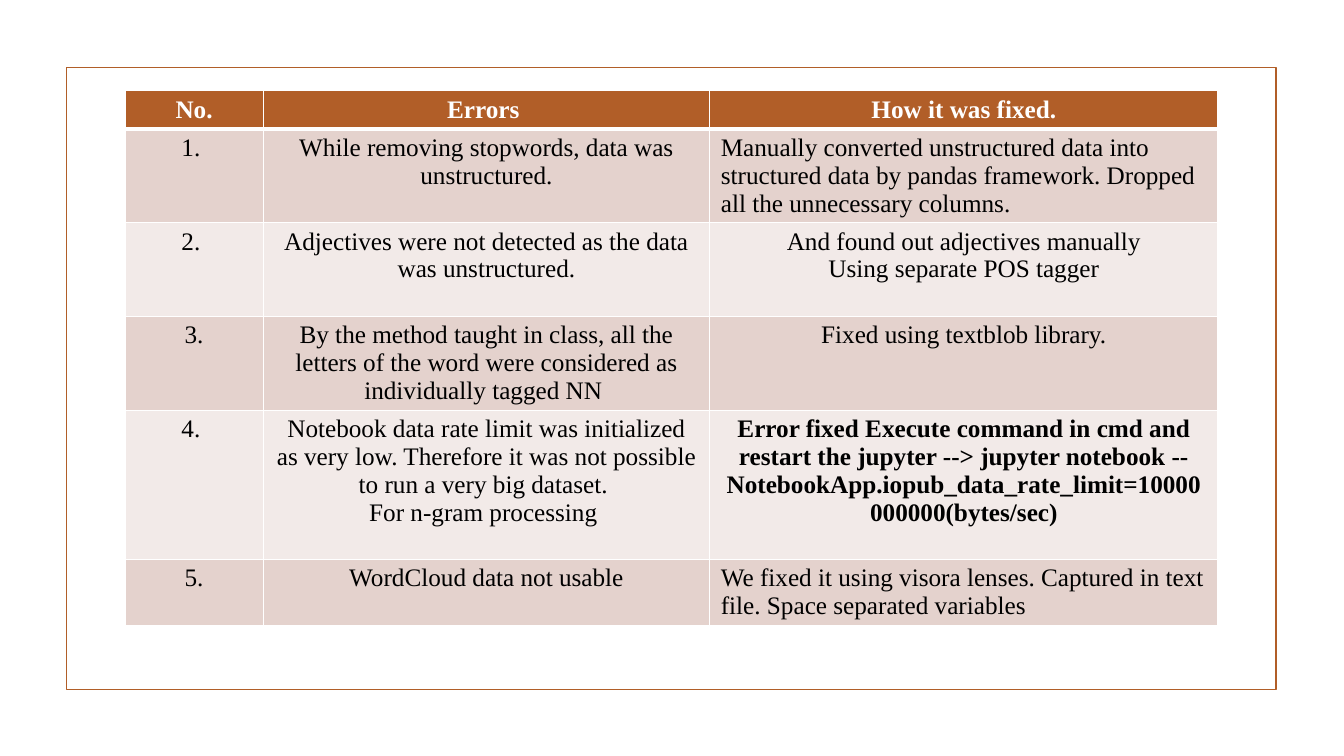
"""Build a slide with a table of data-processing errors and their fixes."""
from lxml.etree import SubElement
from pptx import Presentation
from pptx.dml.color import RGBColor
from pptx.enum.shapes import MSO_SHAPE as Shape
from pptx.enum.text import PP_ALIGN as Align
from pptx.oxml.ns import qn
from pptx.util import Inches, Pt


def color(hex_value):
    return RGBColor.from_string(hex_value)


def add_borders(cell, bottom_width):
    properties = cell._tc.get_or_add_tcPr()
    widths = {"a:lnL": 1, "a:lnR": 1, "a:lnT": 1, "a:lnB": bottom_width}
    for position, (side, width) in enumerate(widths.items()):
        edge = SubElement(properties, qn(side), w=str(Pt(width)))
        fill = SubElement(edge, qn("a:solidFill"))
        SubElement(fill, qn("a:srgbClr"), val="FFFFFF")
        properties.insert(position, edge)


RUST = "B15E28"
BANDS = ["F2EAE8", "E4D2CD"]
COLUMN_WIDTHS = [1.37, 4.43, 5.04]
ROW_HEIGHTS = [0.37, 0.93, 0.93, 0.93, 1.48, 0.66]
ROWS = [
    ("No.", "Errors ", "How it was fixed."),
    ("1. ", "While removing stopwords, data was unstructured.",
     "Manually converted unstructured data into structured data by pandas "
     "framework. Dropped all the unnecessary columns."),
    ("2. ", "Adjectives were not detected as the data was unstructured.",
     "And found out adjectives manually\nUsing separate POS tagger"),
    ("3.", "By the method taught in class, all the letters of the word were "
     "considered as individually tagged NN ",
     "Fixed using textblob library."),
    ("4. ", "Notebook data rate limit was initialized as very low. Therefore it "
     "was not possible to run a very big dataset. \nFor n-gram processing ",
     "Error fixed Execute command in cmd and restart the jupyter --> jupyter "
     "notebook --NotebookApp.iopub_data_rate_limit=10000000000(bytes/sec)"),
    ("5.", "WordCloud data not usable",
     "We fixed it using visora lenses. Captured in text file. "
     "Space separated variables"),
]
LEFT_ALIGNED = {(1, 2), (5, 2)}
BOLD_FIX = (4, 2)

deck = Presentation()
deck.slide_width, deck.slide_height = Inches(13.33), Inches(7.5)
slide = deck.slides.add_slide(deck.slide_layouts[6])

frame = slide.shapes.add_shape(
    Shape.RECTANGLE, Inches(0.66), Inches(0.67), Inches(12), Inches(6.17))
frame.shadow.inherit = False
frame.fill.background()
frame.line.color.rgb = color(RUST)
frame.line.width = Pt(1.25)

errors = slide.shapes.add_table(
    len(ROWS), len(COLUMN_WIDTHS), Inches(1.24), Inches(0.9),
    Inches(sum(COLUMN_WIDTHS)), Inches(sum(ROW_HEIGHTS))).table
for column, width in zip(errors.columns, COLUMN_WIDTHS):
    column.width = Inches(width)

for row, (entries, height) in enumerate(zip(ROWS, ROW_HEIGHTS)):
    errors.rows[row].height = Inches(height)
    header = row == 0
    for col, entry in enumerate(entries):
        cell = errors.cell(row, col)
        cell.margin_left = cell.margin_right = Inches(0.11)
        cell.margin_top = cell.margin_bottom = Inches(0.05)
        cell.fill.solid()
        cell.fill.fore_color.rgb = color(RUST if header else BANDS[row % 2])
        add_borders(cell, 3 if header else 1)
        for index, line in enumerate(entry.split("\n")):
            body = cell.text_frame
            paragraph = body.add_paragraph() if index else body.paragraphs[0]
            paragraph.alignment = (
                Align.LEFT if (row, col) in LEFT_ALIGNED else Align.CENTER)
            run = paragraph.add_run()
            run.text = line
            run.font.name = "Times New Roman"
            run.font.size = Pt(18)
            run.font.bold = header or (row, col) == BOLD_FIX
            run.font.color.rgb = color("FFFFFF" if header else "000000")

deck.save("out.pptx")
